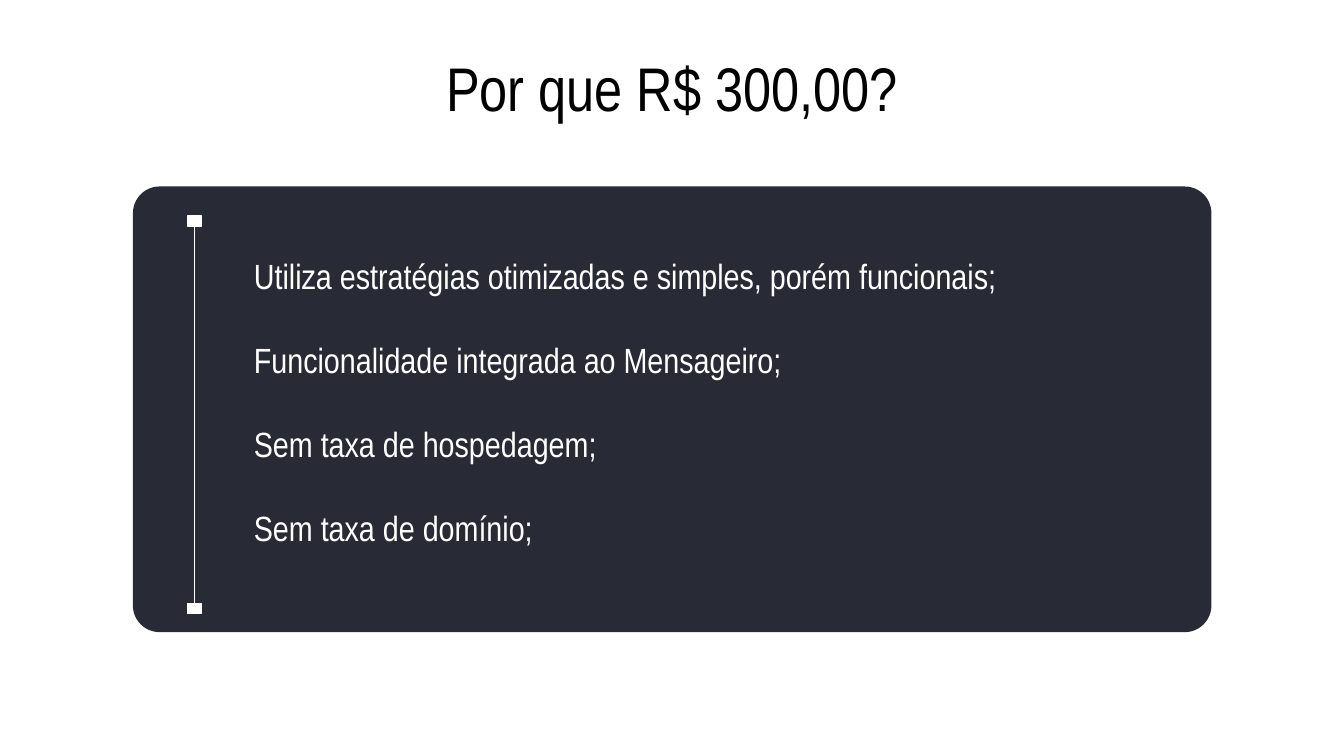
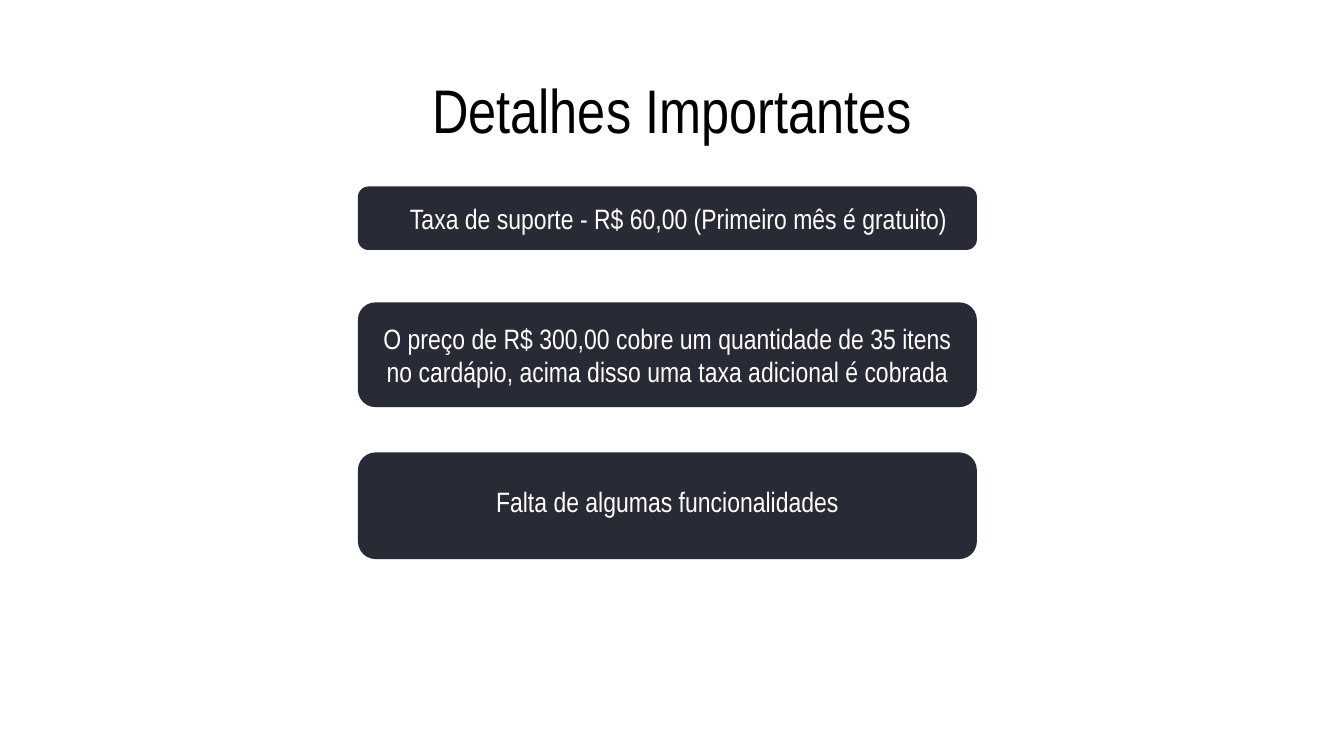
from pptx import Presentation
from pptx.dml.color import RGBColor
from pptx.enum.shapes import MSO_CONNECTOR as CONN, MSO_SHAPE as SHAPE
from pptx.enum.text import MSO_ANCHOR as ANCHOR, PP_ALIGN as ALIGN
from pptx.oxml.ns import qn
from pptx.util import Cm, Pt
from lxml.etree import SubElement

BLACK = RGBColor(0x00, 0x00, 0x00)
WHITE = RGBColor(0xFF, 0xFF, 0xFF)
DARK = RGBColor(0x28, 0x2A, 0x36)


class Deck:
    font = "Arial Narrow"

    def __init__(self):
        self.prs = Presentation()
        self.prs.slide_width, self.prs.slide_height = Cm(33.87), Cm(19.05)
        self.s = None

    def slide(self, title, top):
        self.s = self.prs.slides.add_slide(self.prs.slide_layouts[6])
        self.text([title], 2.34, top, 29.21, 3.68, 44, color=BLACK,
                  anchor=ANCHOR.MIDDLE, alignment=ALIGN.CENTER, line_spacing=0.9)

    def fill_text(self, tf, lines, size, color=WHITE, anchor=ANCHOR.TOP, gap=0, **fmt):
        tf.word_wrap = True
        tf.vertical_anchor = anchor
        for i, line in enumerate(lines):
            p = tf.add_paragraph() if i else tf.paragraphs[0]
            if i:
                p.space_before = Pt(gap)
            for name, value in fmt.items():
                setattr(p, name, value)
            r = p.add_run()
            r.text = line
            for name, value in {"name": self.font, "size": Pt(size)}.items():
                setattr(r.font, name, value)
            r.font.color.rgb = color

    def text(self, lines, x, y, w, h, size, **fmt):
        sp = self.s.shapes.add_textbox(Cm(x), Cm(y), Cm(w), Cm(h))
        self.fill_text(sp.text_frame, lines, size, **fmt)

    def box(self, x, y, w, h, kind=SHAPE.ROUNDED_RECTANGLE, fill=DARK):
        sp = self.s.shapes.add_shape(kind, Cm(x), Cm(y), Cm(w), Cm(h))
        sp.shadow.inherit = False
        sp.fill.solid()
        sp.fill.fore_color.rgb = fill
        sp.line.fill.background()
        return sp

    def card(self, line, x, y, w, h, margins):
        tf = self.box(x, y, w, h).text_frame
        for side, value in margins.items():
            setattr(tf, f"margin_{side}", Cm(value))
        self.fill_text(tf, [line], 20, anchor=ANCHOR.MIDDLE, alignment=ALIGN.CENTER)

    def rail(self, x, top, bottom, w=0.36, h=0.25):
        """Vertical line with a small block centred on each end."""
        line = self.s.shapes.add_connector(CONN.STRAIGHT, Cm(x), Cm(top), Cm(x), Cm(bottom))
        line.line.color.rgb = WHITE
        line.line.width = Pt(0.5)
        SubElement(line._element.spPr, qn("a:effectLst"))
        for y in (top, bottom):
            end = self.box(x - w / 2, y - h / 2, w, h, SHAPE.RECTANGLE, WHITE)
            end.line.color.rgb = WHITE
            end.line.width = Pt(1)


def main():
    deck = Deck()

    # Reasons for the price
    deck.slide("Por que R$ 300,00?", 0.48)
    panel = deck.box(3.35, 4.7, 27.18, 11.23)
    panel.adjustments[0] = 0.06
    deck.rail(4.9, 5.57, 15.34)
    deck.text(["Utiliza estratégias otimizadas e simples, porém funcionais;",
               "Funcionalidade integrada ao Mensageiro;",
               "Sem taxa de hospedagem;",
               "Sem taxa de domínio;"], 6.15, 6.3, 22.12, 9.88, 25, gap=30)

    # Details, one card each: text, top, height, margins
    deck.slide("Detalhes Importantes", 1.02)
    cards = [
        ("Taxa de suporte - R$ 60,00 (Primeiro mês é gratuito)", 4.7, 1.6, {"left": 0.81}),
        ("O preço de R$ 300,00 cobre um quantidade de 35 itens no cardápio, "
         "acima disso uma taxa adicional é cobrada", 7.62, 2.64, {}),
        ("Falta de algumas funcionalidades", 11.4, 2.69, {"bottom": 0.33}),
    ]
    for line, y, h, margins in cards:
        deck.card(line, 9.02, y, 15.6, h, margins)

    deck.prs.save("out.pptx")


if __name__ == "__main__":
    main()
